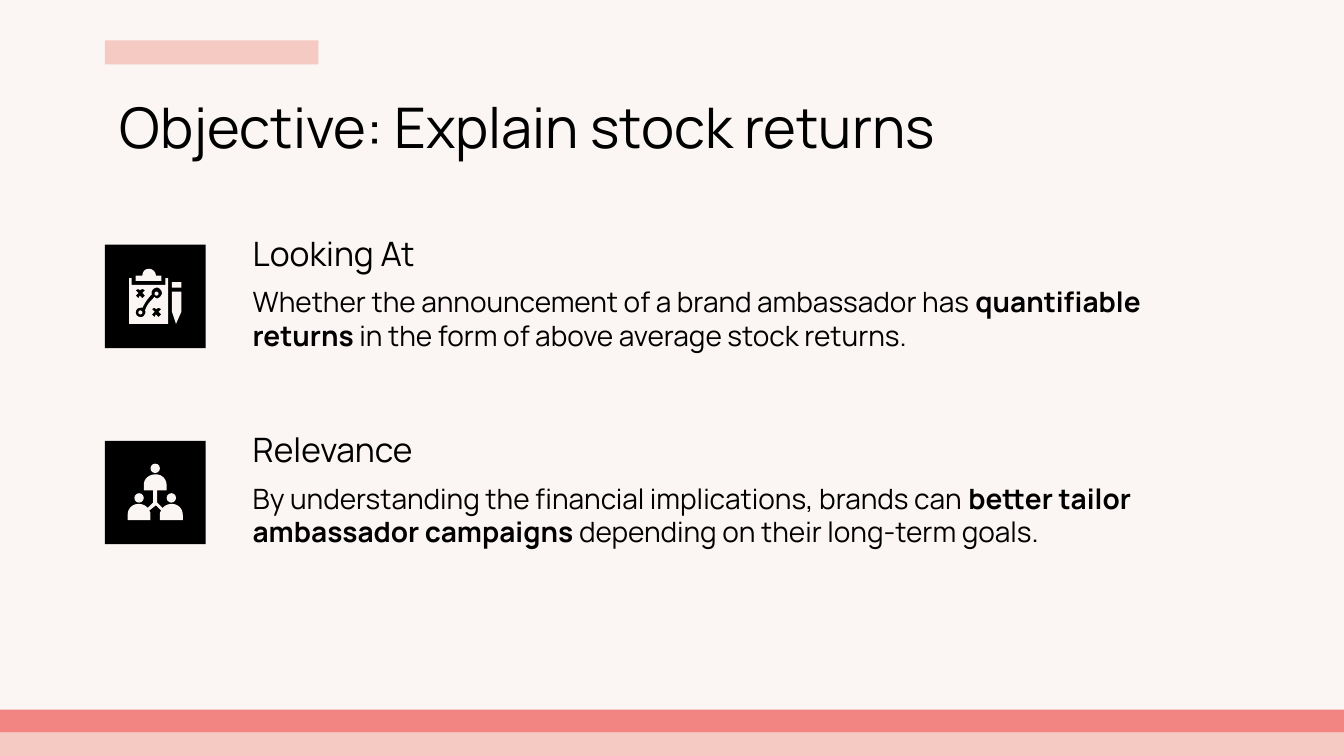
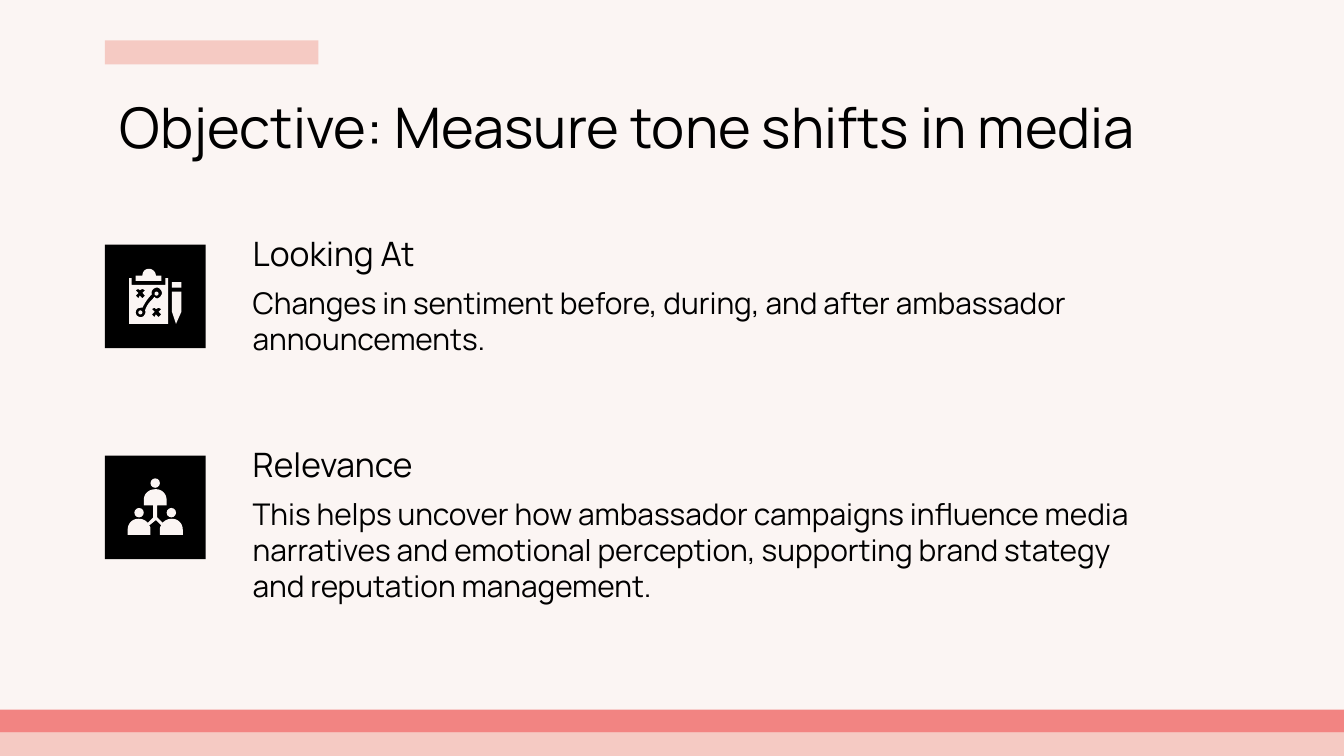
import lxml.etree
import pptx
import pptx.dml.color
import pptx.enum.shapes
import pptx.enum.text
import pptx.oxml.ns
import pptx.util

Inches = pptx.util.Inches
SHAPES = pptx.enum.shapes.MSO_SHAPE
ANCHOR = pptx.enum.text.MSO_ANCHOR

FONT = "Manrope"
CREAM, PINK, CORAL, BLACK = "FBF5F3", "F5CAC3", "F28482", "000000"
BANDS = [(5.1, CREAM), (5.27, CORAL), (5.45, PINK)]
ICON_LEFT, ICON_WIDTH, ICON_HEIGHT = 0.78, 0.75, 0.77
TEXT_LEFT, TEXT_WIDTH = 1.78, 6.85

# Icon outlines, in inches from the corner of the black tile.
# A pair is a straight corner; six numbers are a Bezier curve.
TEAM_HEADS = [(0.34, 0.17), (0.22, 0.39), (0.46, 0.39)]
TEAM_BODIES = [
    (0.38, 0.25), (0.33, 0.25, 0.29, 0.28, 0.29, 0.33), (0.29, 0.37),
    (0.36, 0.37), (0.36, 0.46), (0.32, 0.50),
    (0.30, 0.48, 0.28, 0.47, 0.25, 0.47),
    (0.20, 0.47, 0.17, 0.51, 0.17, 0.55), (0.17, 0.59), (0.34, 0.59),
    (0.34, 0.55), (0.34, 0.54, 0.34, 0.53, 0.33, 0.52), (0.38, 0.48),
    (0.42, 0.52), (0.41, 0.53, 0.41, 0.54, 0.41, 0.55), (0.41, 0.59),
    (0.58, 0.59), (0.58, 0.55), (0.58, 0.50, 0.54, 0.47, 0.50, 0.47),
    (0.47, 0.47, 0.45, 0.48, 0.43, 0.50), (0.39, 0.46), (0.39, 0.37),
    (0.46, 0.37), (0.46, 0.33), (0.46, 0.29, 0.43, 0.25, 0.38, 0.25),
]

CROSS = [(0.05, 0), (0.07, 0.01), (0.05, 0.03), (0.07, 0.05), (0.05, 0.07),
         (0.03, 0.05), (0.02, 0.07), (0, 0.05), (0.02, 0.03), (0, 0.01),
         (0.02, 0), (0.03, 0.01)]
CROSS_CORNERS = [(0.23, 0.33), (0.35, 0.47)]
PLAY_ROUTE = [
    (0.39, 0.32), (0.40, 0.32, 0.41, 0.33, 0.41, 0.33),
    (0.43, 0.35, 0.43, 0.37, 0.41, 0.39),
    (0.41, 0.39, 0.40, 0.40, 0.39, 0.40),
    (0.38, 0.40, 0.38, 0.40, 0.37, 0.39),
    (0.34, 0.42, 0.31, 0.45, 0.30, 0.49),
    (0.31, 0.51, 0.29, 0.54, 0.27, 0.54),
    (0.23, 0.54, 0.22, 0.50, 0.24, 0.48),
    (0.25, 0.47, 0.26, 0.47, 0.28, 0.47),
    (0.30, 0.43, 0.32, 0.40, 0.35, 0.37),
    (0.34, 0.35, 0.36, 0.32, 0.39, 0.32),
]
BOARD = [(0.18, 0.25), (0.18, 0.59), (0.47, 0.59), (0.47, 0.25),
         (0.45, 0.25), (0.45, 0.30), (0.20, 0.30), (0.20, 0.25)]
CLIP = [(0.33, 0.18), (0.30, 0.18, 0.28, 0.20, 0.28, 0.23), (0.23, 0.23),
        (0.23, 0.27), (0.42, 0.27), (0.42, 0.23), (0.38, 0.23),
        (0.38, 0.20, 0.35, 0.18, 0.33, 0.18)]
PENCIL = [(0.50, 0.35), (0.50, 0.50), (0.53, 0.59), (0.57, 0.50), (0.57, 0.35)]
ROUTE_ENDS = [(0.25, 0.49), (0.37, 0.35)]


def color(hex_string):
    return pptx.dml.color.RGBColor.from_string(hex_string)


def flatten(outline, steps=8):
    """Turn corners and Bezier curves into a list of points."""
    points = []
    for part in outline:
        if len(part) == 2:
            points.append(part)
            continue
        controls = [points[-1], part[:2], part[2:4], part[4:]]
        for step in range(1, steps + 1):
            t = step / steps
            weights = [(1 - t) ** 3, 3 * t * (1 - t) ** 2, 3 * t * t * (1 - t), t ** 3]
            points.append(tuple(
                sum(weight * control[axis] for weight, control in zip(weights, controls))
                for axis in (0, 1)))
    return points


class Deck:
    """Holds the shared style and the current slide."""

    def __init__(self):
        self.presentation = pptx.Presentation()
        self.presentation.slide_width = Inches(10)
        self.presentation.slide_height = Inches(10) * 9 // 16
        background = self.presentation.slide_master.background.fill
        background.solid()
        background.fore_color.rgb = color(CREAM)
        self.slide = None

    def add_slide(self, title):
        layout = self.presentation.slide_layouts.get_by_name("Comparison")
        self.slide = self.presentation.slides.add_slide(layout)
        for top, fill in reversed(BANDS):
            self.shape(self.slide, 0, top, 10, 0.18, fill)
        self.shape(self.slide, ICON_LEFT, 0.3, 1.59, 0.18, PINK)
        self.text(0, 0.79, 0.59, 8.43, 0.63, [(title, False)], 30)

    def finish(self, shape, fill):
        shape.shadow.inherit = False
        shape.fill.solid()
        shape.fill.fore_color.rgb = color(fill)
        shape.line.fill.background()

    def shape(self, parent, left, top, width, height, fill, kind=SHAPES.RECTANGLE):
        shape = parent.shapes.add_shape(
            kind, Inches(left), Inches(top), Inches(width), Inches(height))
        self.finish(shape, fill)

    def outline(self, parent, top, contours):
        """Draw contours as one shape; inner contours become holes."""
        builder = None
        for contour in contours:
            points = [(Inches(ICON_LEFT + x), Inches(top + y)) for x, y in flatten(contour)]
            if builder is None:
                builder = parent.shapes.build_freeform(*points[0])
            else:
                builder.move_to(*points[0])
            builder.add_line_segments(points[1:], close=True)
        self.finish(builder.convert_to_shape(), CREAM)

    def text(self, index, left, top, width, height, runs, size, anchor=ANCHOR.TOP):
        placeholder = self.slide.placeholders[index]
        placeholder.left, placeholder.top = Inches(left), Inches(top)
        placeholder.width, placeholder.height = Inches(width), Inches(height)
        frame = placeholder.text_frame
        frame.word_wrap = True
        frame.auto_size = pptx.enum.text.MSO_AUTO_SIZE.NONE
        frame.vertical_anchor = anchor
        frame.margin_left = frame.margin_right = Inches(0.1)
        frame.margin_top = frame.margin_bottom = Inches(0.1)
        paragraph = frame.paragraphs[0]
        properties = paragraph._p.get_or_add_pPr()
        properties.set("marL", "0")
        properties.set("indent", "0")
        lxml.etree.SubElement(properties, pptx.oxml.ns.qn("a:buNone"))
        paragraph.alignment = pptx.enum.text.PP_ALIGN.LEFT
        paragraph.space_before = pptx.util.Pt(0)
        paragraph.line_spacing = 1.0
        paragraph.font.name = FONT
        paragraph.font.size = pptx.util.Pt(size)
        paragraph.font.color.rgb = color(BLACK)
        paragraph.font.bold = False
        for words, bold in runs:
            run = paragraph.add_run()
            run.text = words
            if bold:
                run.font.bold = True

    def tile(self, top):
        self.shape(self.slide, ICON_LEFT, top, ICON_WIDTH, ICON_HEIGHT, BLACK)
        return self.slide.shapes.add_group_shape()

    def clipboard_icon(self, top):
        icon = self.tile(top)
        crosses = [[(left + x, upper + y) for x, y in CROSS] for left, upper in CROSS_CORNERS]
        for contours in ([BOARD, PLAY_ROUTE] + crosses, [CLIP], [PENCIL]):
            self.outline(icon, top, contours)
        for x, y in ROUTE_ENDS:
            self.shape(icon, ICON_LEFT + x, top + y, 0.03, 0.03, CREAM, SHAPES.OVAL)
        self.shape(icon, ICON_LEFT + 0.5, top + 0.28, 0.07, 0.04, CREAM)

    def team_icon(self, top):
        icon = self.tile(top)
        self.outline(icon, top, [TEAM_BODIES])
        for x, y in TEAM_HEADS:
            self.shape(icon, ICON_LEFT + x, top + y, 0.07, 0.07, CREAM, SHAPES.OVAL)

    def section(self, index, top, heading, runs, size, width=TEXT_WIDTH, height=0.77):
        """Place a heading and its text beside the tile at this top."""
        self.text(index, TEXT_LEFT, top - 0.08, TEXT_WIDTH, 0.39,
                  [(heading, False)], 18, ANCHOR.BOTTOM)
        self.text(index + 1, TEXT_LEFT, top + 0.2, width, height, runs, size)


def main():
    deck = Deck()
    looking_top = 1.82

    # Stock returns
    relevance_top = 3.28
    deck.add_slide("Objective: Explain stock returns")
    deck.section(1, looking_top, "Looking At", [
        ("Whether the announcement of a brand ambassador has ", False),
        ("quantifiable returns ", True),
        ("in the form of above average stock returns.", False)], 15)
    deck.section(3, relevance_top, "Relevance", [
        ("By understanding the financial implications, brands can ", False),
        ("better tailor ambassador campaigns", True),
        (" depending on their long-term goals.", False)], 15, 7.35, 1.03)
    deck.clipboard_icon(looking_top)
    deck.team_icon(relevance_top)

    # Media tone
    relevance_top = 3.39
    deck.add_slide("Objective: Measure tone shifts in media")
    deck.section(1, looking_top, "Looking At", [
        ("Changes in sentiment before, during, and after ambassador announcements.", False)], 16)
    deck.section(3, relevance_top, "Relevance", [
        ("This helps uncover how ambassador campaigns influence media narratives and "
         "emotional perception, supporting brand stategy and reputation management.",
         False)], 16)
    deck.clipboard_icon(looking_top)
    deck.team_icon(relevance_top)

    deck.presentation.save("out.pptx")


if __name__ == "__main__":
    main()
